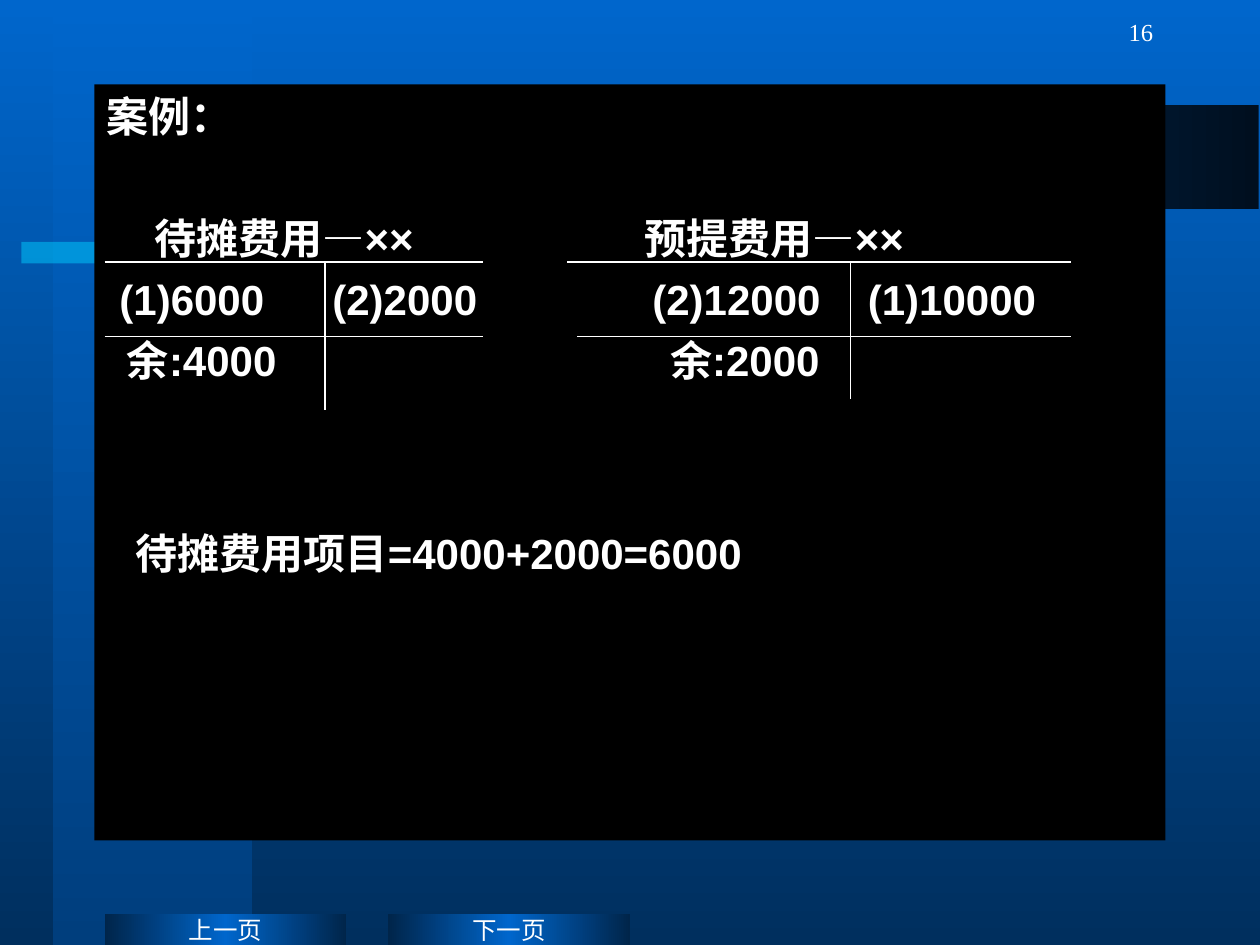
from copy import deepcopy

from lxml import etree
from pptx import Presentation
from pptx.dml.color import RGBColor
from pptx.enum.shapes import MSO_CONNECTOR, MSO_SHAPE
from pptx.enum.text import MSO_ANCHOR, PP_ALIGN
from pptx.oxml.ns import qn
from pptx.util import Inches, Pt

RECT = MSO_SHAPE.RECTANGLE
STRAIGHT = MSO_CONNECTOR.STRAIGHT
LEFT, CENTER, RIGHT = PP_ALIGN.LEFT, PP_ALIGN.CENTER, PP_ALIGN.RIGHT
TOP, MIDDLE = MSO_ANCHOR.TOP, MSO_ANCHOR.MIDDLE
rgb = RGBColor.from_string


def set_gradient(fill, colors, angle):
    fill.gradient()
    fill.gradient_angle = angle
    first = fill.gradient_stops[0]._gs
    for _ in colors[2:]:
        first.addnext(deepcopy(first))
    for i, (stop, color) in enumerate(zip(fill.gradient_stops, colors)):
        stop.position = i / (len(colors) - 1)
        stop.color.rgb = rgb(color)


def style_text(tf, size, font, align, anchor, bold=False, wrap=True):
    tf.word_wrap = wrap
    tf.vertical_anchor = anchor
    for p in tf.paragraphs:
        p.alignment = align
        for r in p.runs:
            r.font.size = Pt(size)
            r.font.name = font
            r.font.bold = bold
            r.font.color.rgb = rgb("FFFFFF")


prs = Presentation()
prs.slide_width, prs.slide_height = Inches(10), Inches(7.5)
s = prs.slides.add_slide(prs.slide_layouts[6])
set_gradient(s.background.fill, ["0066CC", "002F5E"], 270)

button = ["00254A", "0066CC", "00254A"]
blocks = [
    (0.42, 0, 1.58, 7.5, ["0066CC", "003E7D"], 270, ""),
    (0.17, 1.92, 5.17, 0.17, ["00CCFF"], 0, ""),
    (3.08, 7.25, 1.92, 0.25, button, 180, "下一页"),
    (0.83, 0.83, 9.16, 0.83, ["000F1F", "0066CC"], 180, ""),
    (0.83, 7.25, 1.92, 0.25, button, 180, "上一页"),
    (0.75, 0.67, 8.5, 6, ["000000"], 0, ""),
]
for x, y, w, h, colors, angle, label in blocks:
    sp = s.shapes.add_shape(RECT, Inches(x), Inches(y), Inches(w), Inches(h))
    sp.shadow.inherit = False
    sp.line.fill.background()
    if len(colors) > 1:
        set_gradient(sp.fill, colors, angle)
    else:
        sp.fill.solid()
        sp.fill.fore_color.rgb = rgb(colors[0])
    if colors == ["00CCFF"]:
        clr = sp.fill._xPr.find(".//" + qn("a:srgbClr"))
        etree.SubElement(clr, qn("a:alpha"), val="50000")
    if label:
        sp.text_frame.text = label
        style_text(sp.text_frame, 14, "Arial", CENTER, MIDDLE, wrap=False)

panel = sp
rows = [
    ("案例：", [], 0),
    ("\t待摊费用—××\t预提费用—××", [0.38, 4.27], 41),
    ("\t(1)6000\t(2)2000\t(2)12000\t(1)10000", [0.1, 1.79, 4.33, 6.04], 6),
    ("\t余:4000\t余:2000", [0.16, 4.47], 6),
]
tf = panel.text_frame
tf.text = "\n".join(text for text, _, _ in rows)
for p, (_, tabs, before) in zip(tf.paragraphs, rows):
    p.space_before = Pt(before)
    if tabs:
        tab_list = etree.SubElement(p._p.get_or_add_pPr(), qn("a:tabLst"))
        for pos in tabs:
            etree.SubElement(tab_list, qn("a:tab"), pos=str(Inches(pos)), algn="l")
style_text(tf, 24, "Arial", LEFT, TOP, bold=True)

account_lines = [
    (0.83, 2.08, 3.83, 2.08),
    (4.5, 2.08, 8.5, 2.08),
    (2.58, 2.08, 2.58, 3.25),
    (6.75, 2.08, 6.75, 3.17),
    (0.83, 2.67, 3.83, 2.67),
    (4.58, 2.67, 8.5, 2.67),
]
for ends in account_lines:
    line = s.shapes.add_connector(STRAIGHT, *[Inches(v) for v in ends])
    line.line.color.rgb = rgb("FFFFFF")
    line.line.width = Pt(1)
    etree.SubElement(line._element.spPr, qn("a:effectLst"))

result = s.shapes.add_textbox(Inches(0.98), Inches(4.14), Inches(7.08), Inches(1.11))
result.text_frame.text = "待摊费用项目=4000+2000=6000"
style_text(result.text_frame, 24, "Arial", LEFT, TOP, bold=True)

number = s.shapes.add_textbox(Inches(7.17), Inches(0), Inches(2.08), Inches(0.5))
number.text_frame.text = "16"
style_text(number.text_frame, 14, "Times New Roman", RIGHT, MIDDLE)

prs.save("out.pptx")
